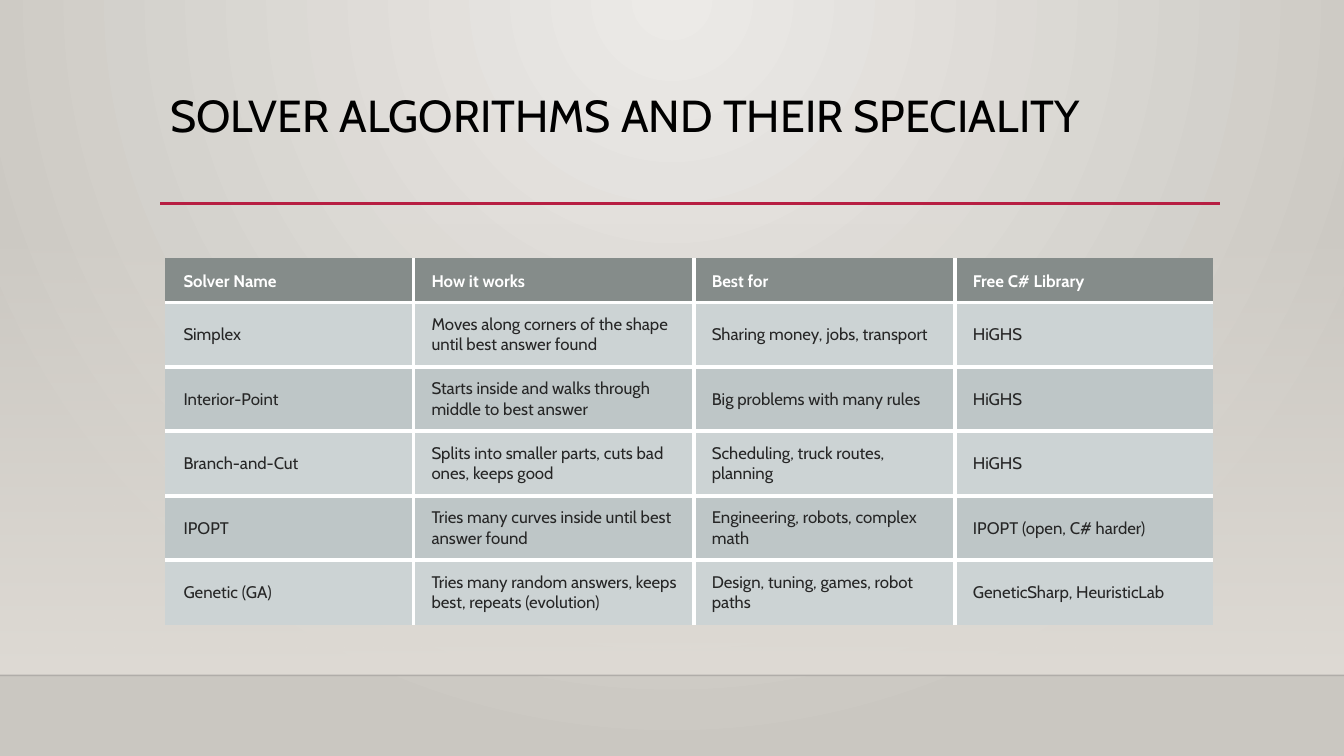
from lxml.etree import SubElement
from pptx import Presentation
from pptx.dml.color import RGBColor
from pptx.enum.shapes import MSO_CONNECTOR as Connector, MSO_SHAPE as Shape
from pptx.enum.text import MSO_ANCHOR as Anchor
from pptx.oxml.ns import qn
from pptx.util import Inches, Pt

FONT = "Cabin"
WIDTH, HEIGHT = 13.33, 7.5
FLOOR_TOP = 6.7
HEADER_FILL = "858C8A"
BAND_FILLS = ("CCD3D4", "BEC6C7")
COLUMN_WIDTHS = (2.46, 2.78, 2.59, 2.56)
HEADER_HEIGHT = 0.44
SOLVERS = [
    ("Solver Name", "How it works", "Best for", "Free C# Library"),
    ("Simplex", "Moves along corners of the shape until best answer found",
     "Sharing money, jobs, transport", "HiGHS"),
    ("Interior-Point", "Starts inside and walks through middle to best answer",
     "Big problems with many rules", "HiGHS"),
    ("Branch-and-Cut", "Splits into smaller parts, cuts bad ones, keeps good",
     "Scheduling, truck routes, planning", "HiGHS"),
    ("IPOPT", "Tries many curves inside until best answer found",
     "Engineering, robots, complex math", "IPOPT (open, C# harder)"),
    ("Genetic (GA)", "Tries many random answers, keeps best, repeats (evolution)",
     "Design, tuning, games, robot paths", "GeneticSharp, HeuristicLab"),
]


def color(hex_text):
    return RGBColor.from_string(hex_text)


def set_alpha(color_element, percent):
    SubElement(color_element, qn("a:alpha"), val=str(percent * 1000))


def write(frame, text, size, fill, bold=False, spacing=None):
    para = frame.paragraphs[0]
    para.line_spacing = spacing
    span = para.add_run()
    span.text = text
    span.font.name = FONT
    span.font.size = Pt(size)
    span.font.bold = bold
    span.font.color.rgb = color(fill)


def set_gradient(fill, first, last):
    fill.gradient()
    for stop, hex_text in zip(fill.gradient_stops, (first, last)):
        stop.color.rgb = color(hex_text)


def add_rule(page, left, top, width, fill, weight, alpha=100):
    rule = page.shapes.add_connector(
        Connector.STRAIGHT, Inches(left), Inches(top), Inches(left + width), Inches(top))
    rule.line.color.rgb = color(fill)
    rule.line.width = Pt(weight)
    properties = rule.element.spPr
    if alpha < 100:
        set_alpha(properties.find(".//" + qn("a:srgbClr")), alpha)
    SubElement(properties, qn("a:effectLst"))


def add_backdrop(page):
    """Glow from the top centre, a wall fading in, and the floor edge."""
    set_gradient(page.background.fill, "ECEAE7", "CAC7C1")
    gradient = page.element.find(".//" + qn("p:bgPr")).find(qn("a:gradFill"))
    linear = gradient.find(qn("a:lin"))
    circle = SubElement(gradient, qn("a:path"), path="circle")
    SubElement(circle, qn("a:fillToRect"), l="43000", t="0", r="43000", b="100000")
    gradient.replace(linear, circle)

    wall_top = 2.21
    wall = page.shapes.add_shape(Shape.RECTANGLE, 0, Inches(wall_top),
                                 Inches(WIDTH), Inches(FLOOR_TOP - wall_top))
    wall.shadow.inherit = False
    wall.line.fill.background()
    set_gradient(wall.fill, "DFDBD5", "DFDBD5")
    wall.fill.gradient_angle = 270
    set_alpha(wall.element.spPr.find(".//" + qn("a:srgbClr")), 0)
    add_rule(page, 0, FLOOR_TOP, WIDTH, "000001", 1, alpha=20)


def add_title(page, left, top, width, height):
    box = page.shapes.add_textbox(Inches(left), Inches(top), Inches(width), Inches(height))
    frame = box.text_frame
    frame.word_wrap = True
    frame.margin_left = frame.margin_right = Inches(0.1)
    frame.margin_top, frame.margin_bottom = Inches(0.05), 0
    write(frame, "SOLVER ALGORITHMS AND THEIR SPECIALITY", 32, "000000", spacing=0.9)
    add_rule(page, left, top + height - 0.01, width + 0.01, "B71E42", 2.5)


def set_borders(cell, inner_sides):
    """White lines on the inner sides, none on the outer ones."""
    properties = cell._tc.get_or_add_tcPr()
    for side in "LRTB":
        line = SubElement(properties, qn("a:ln" + side), w=str(Pt(3)))
        if side in inner_sides:
            solid = SubElement(line, qn("a:solidFill"))
            SubElement(solid, qn("a:srgbClr"), val="FFFFFF")
        else:
            SubElement(line, qn("a:noFill"))


def add_solver_table(page, left, top, width, height):
    row_count, column_count = len(SOLVERS), len(COLUMN_WIDTHS)
    table = page.shapes.add_table(row_count, column_count, Inches(left), Inches(top),
                                  Inches(width), Inches(height)).table
    table.horz_banding = False
    for column, column_width in zip(table.columns, COLUMN_WIDTHS):
        column.width = Inches(column_width)
    body_height = (height - HEADER_HEIGHT) / (row_count - 1)
    for r, texts in enumerate(SOLVERS):
        header = r == 0
        table.rows[r].height = Inches(HEADER_HEIGHT if header else body_height)
        for c, text in enumerate(texts):
            cell = table.cell(r, c)
            inner = {"L": c > 0, "R": c < column_count - 1,
                     "T": r > 0, "B": r < row_count - 1}
            set_borders(cell, [side for side in inner if inner[side]])
            cell.fill.solid()
            cell.fill.fore_color.rgb = color(HEADER_FILL if header else BAND_FILLS[(r - 1) % 2])
            cell.margin_left = Inches(0.18)
            cell.margin_right = cell.margin_top = cell.margin_bottom = Inches(0.11)
            cell.vertical_anchor = Anchor.BOTTOM if header else Anchor.MIDDLE
            write(cell.text_frame, text, 12, "FFFFFF" if header else "262626", bold=header)


def main():
    deck = Presentation()
    deck.slide_width, deck.slide_height = Inches(WIDTH), Inches(HEIGHT)
    page = deck.slides.add_slide(deck.slide_layouts[6])
    add_backdrop(page)
    add_title(page, 1.59, 0.88, 10.5, 1.15)
    add_solver_table(page, 1.64, 2.56, sum(COLUMN_WIDTHS), 3.64)
    deck.save("out.pptx")


if __name__ == "__main__":
    main()
